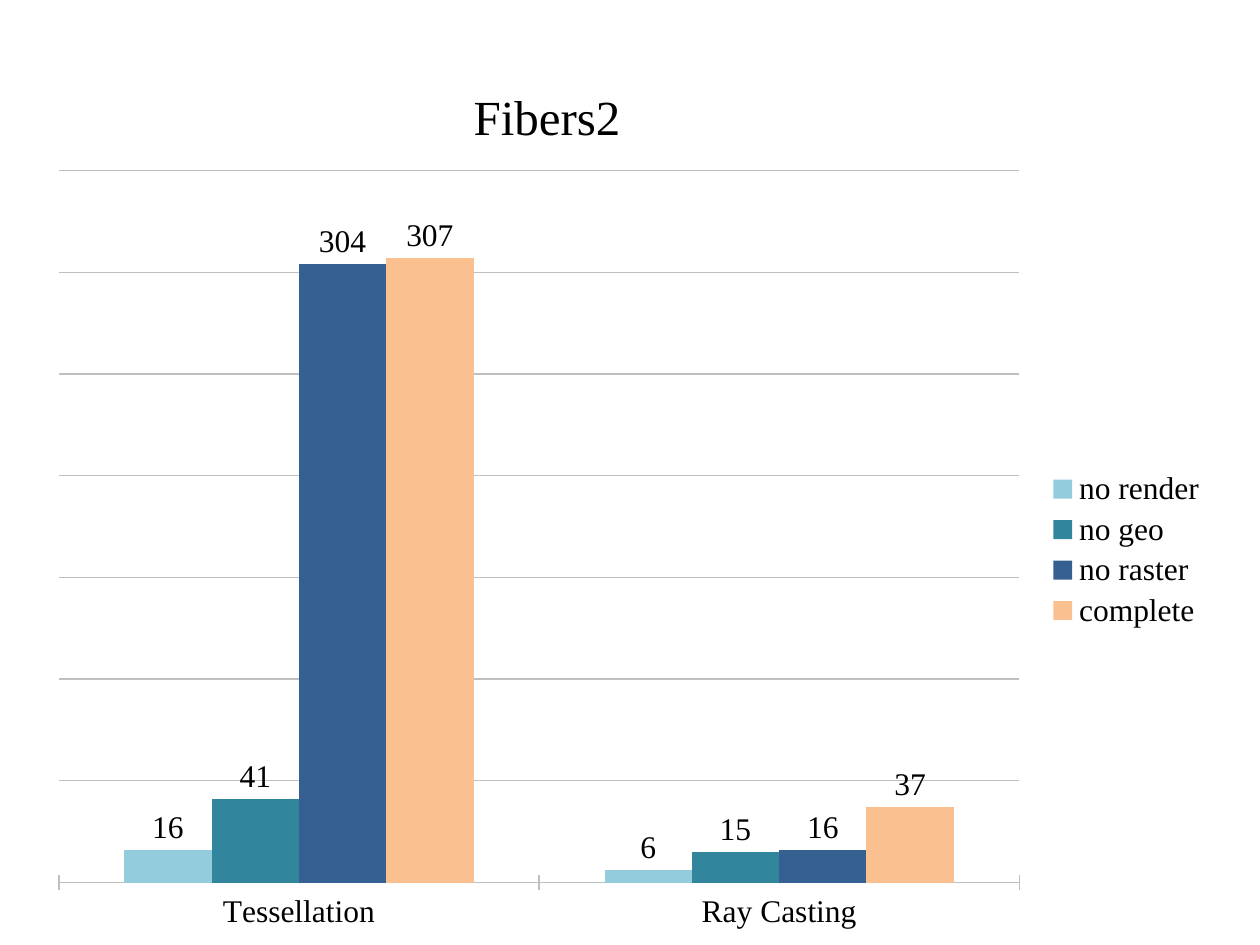
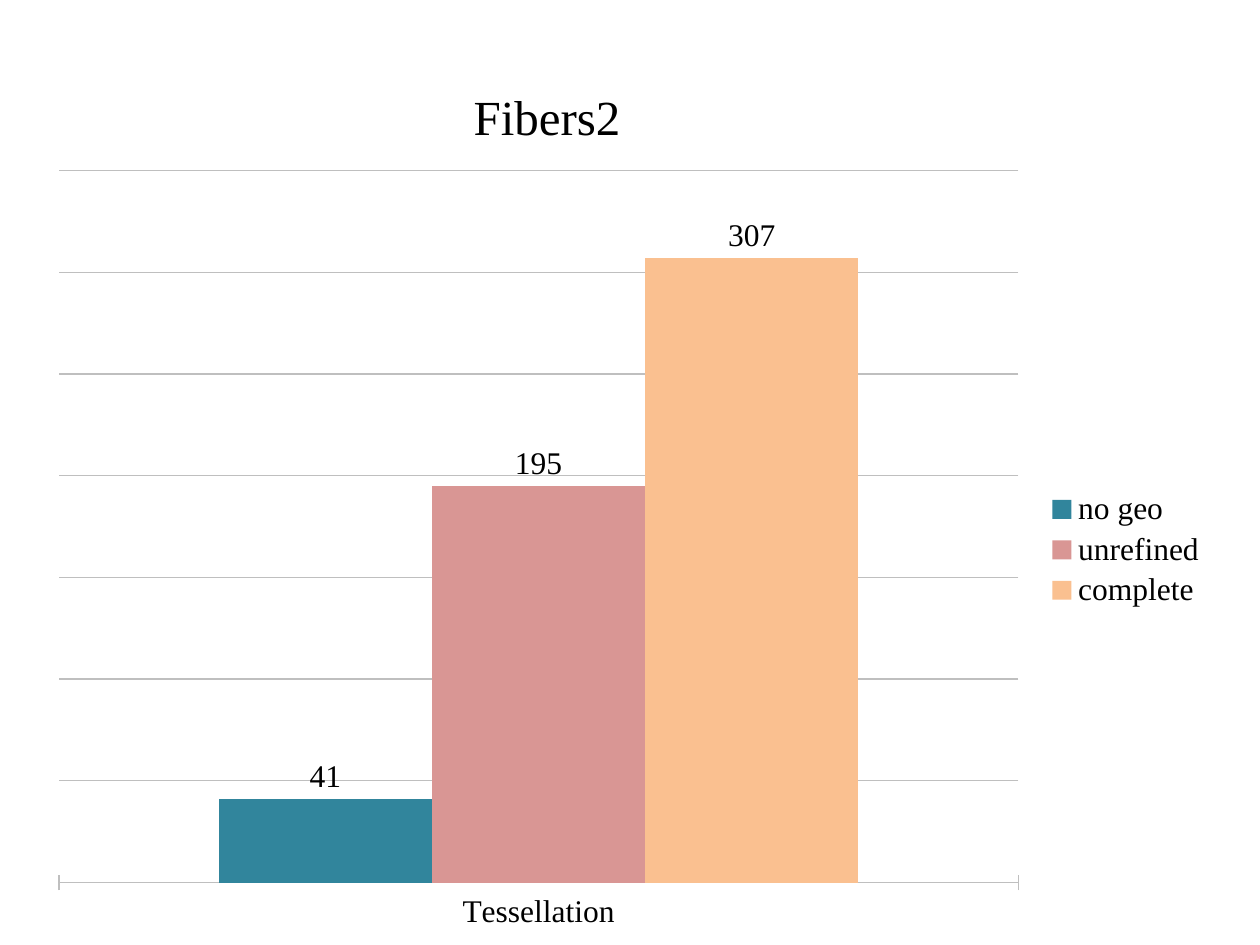
from dataclasses import dataclass

from pptx import Presentation
from pptx import util as u
from pptx.chart.data import CategoryChartData
from pptx.dml.color import RGBColor
from pptx.enum import chart as ch
from pptx.enum import text as tx


@dataclass(frozen=True)
class Theme:
    font: str = "Times New Roman"
    ink: str = "000000"
    rule: str = "BFBFBF"
    rule_width: float = 0.75
    title_size: int = 28
    chart_size: int = 18


THEME = Theme()

SERIES_COLOURS = {
    "no render": "93CDDD",
    "no geo": "31859C",
    "no raster": "376092",
    "unrefined": "D99694",
    "complete": "FAC090",
}

# Left, top, width and height in centimetres
CHART_BOX = (0.71, 3.12, 23.88, 15.93)
TITLE_BOX = (9.3, 0.74, 3.6, 3.18)

TIMINGS = [
    {
        "title": "Fibers2",
        "categories": ["Tessellation", "Ray Casting"],
        "series": {
            "no render": [16, 6],
            "no geo": [41, 15],
            "no raster": [304, 16],
            "complete": [307, 37],
        },
    },
    {
        "title": "Fibers2",
        "categories": ["Tessellation"],
        "series": {"no geo": [41], "unrefined": [195], "complete": [307]},
    },
]


def set_font(font, size, colour):
    font.name = THEME.font
    font.size = u.Pt(size)
    font.color.rgb = RGBColor.from_string(colour)


def rule_line(line):
    line.width = u.Pt(THEME.rule_width)
    line.color.rgb = RGBColor.from_string(THEME.rule)


def add_text(page, box, text, *, size, colour=THEME.ink,
             align=tx.PP_ALIGN.LEFT, anchor=tx.MSO_ANCHOR.MIDDLE):
    frame = page.shapes.add_textbox(*map(u.Cm, box)).text_frame
    frame.word_wrap = True
    frame.vertical_anchor = anchor
    para = frame.paragraphs[0]
    para.alignment = align
    span = para.add_run()
    span.text = text
    set_font(span.font, size, colour)


def style_axes(chart):
    category_axis = chart.category_axis
    category_axis.major_tick_mark = ch.XL_TICK_MARK.CROSS
    rule_line(category_axis.format.line)

    value_axis = chart.value_axis
    value_axis.visible = False
    value_axis.minimum_scale = 0
    value_axis.maximum_scale = 350
    value_axis.major_unit = 50
    value_axis.has_major_gridlines = True
    rule_line(value_axis.major_gridlines.format.line)


def style_columns(plot):
    plot.gap_width = 150
    plot.overlap = 0
    plot.vary_by_categories = False
    for series in plot.series:
        fill = series.format.fill
        fill.solid()
        fill.fore_color.rgb = RGBColor.from_string(SERIES_COLOURS[series.name])
        labels = series.data_labels
        labels.show_value = True
        labels.position = ch.XL_LABEL_POSITION.OUTSIDE_END


def add_column_chart(page, box, categories, series):
    data = CategoryChartData()
    data.categories = categories
    for name, values in series.items():
        data.add_series(name, values)
    chart = page.shapes.add_chart(
        ch.XL_CHART_TYPE.COLUMN_CLUSTERED, *map(u.Cm, box), data).chart
    set_font(chart.font, THEME.chart_size, THEME.ink)
    chart.has_title = False
    chart.has_legend = True
    chart.legend.position = ch.XL_LEGEND_POSITION.RIGHT
    chart.legend.include_in_layout = False
    style_axes(chart)
    style_columns(chart.plots[0])


def add_timing_slide(deck, title, categories, series):
    page = deck.slides.add_slide(deck.slide_layouts[6])
    add_column_chart(page, CHART_BOX, categories, series)
    add_text(page, TITLE_BOX, title, size=THEME.title_size)


def main():
    deck = Presentation()
    deck.slide_width = u.Cm(25.4)
    deck.slide_height = u.Cm(19.05)
    for timing in TIMINGS:
        add_timing_slide(deck, **timing)
    deck.save("out.pptx")


if __name__ == "__main__":
    main()
